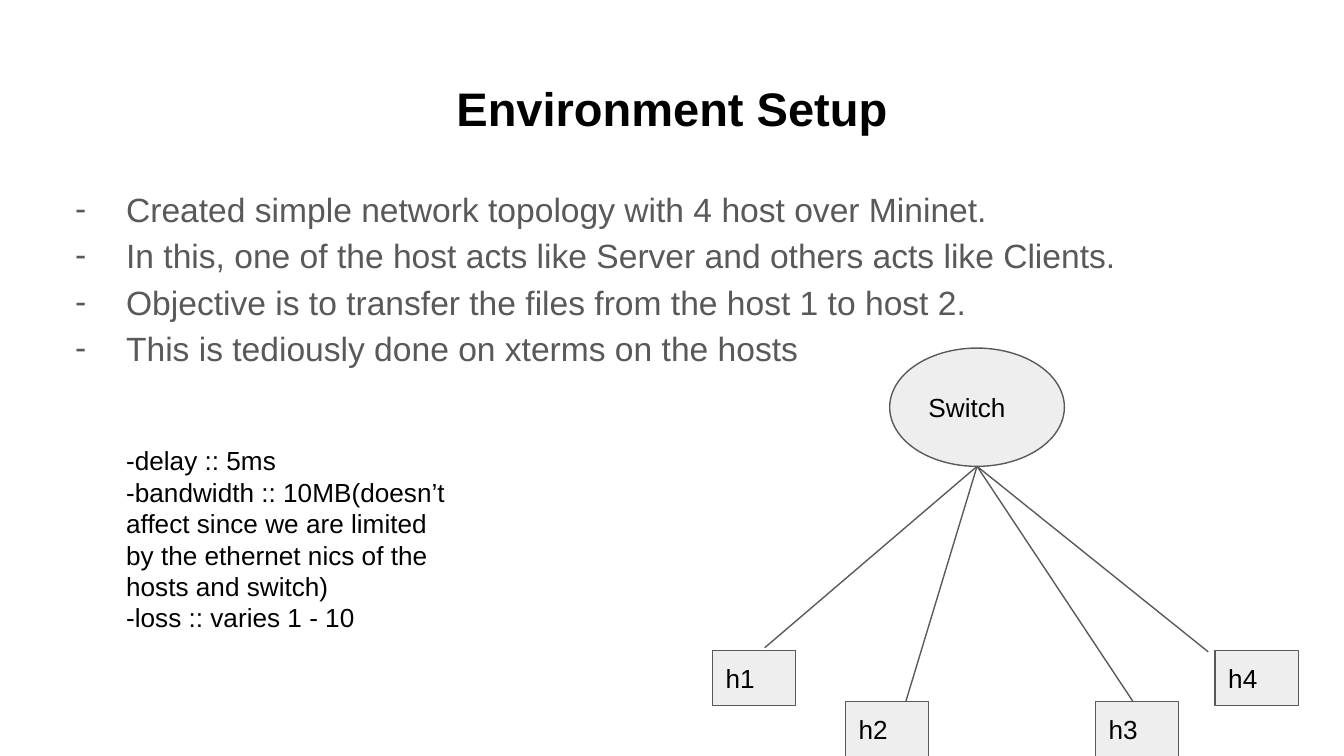
from lxml import etree
from pptx import Presentation
from pptx.dml.color import RGBColor
from pptx.enum.shapes import MSO_CONNECTOR, MSO_SHAPE
from pptx.enum.text import MSO_ANCHOR, PP_ALIGN
from pptx.oxml.ns import qn
from pptx.util import Inches, Pt

STRAIGHT = MSO_CONNECTOR.STRAIGHT
OVAL, RECTANGLE = MSO_SHAPE.OVAL, MSO_SHAPE.RECTANGLE
TOP, MIDDLE = MSO_ANCHOR.TOP, MSO_ANCHOR.MIDDLE
LEFT, CENTER = PP_ALIGN.LEFT, PP_ALIGN.CENTER

FONT = "Arial"
COLORS = {"black": "000000", "gray": "595959", "light": "EEEEEE", "white": "FFFFFF"}


def color(name):
    return RGBColor.from_string(COLORS[name])


def add_dash(paragraph):
    properties = paragraph._p.get_or_add_pPr()
    properties.set("marL", str(Inches(0.5)))
    properties.set("indent", str(Inches(-0.38)))
    bullet_color = etree.SubElement(properties, qn("a:buClr"))
    etree.SubElement(bullet_color, qn("a:srgbClr"), val=COLORS["gray"])
    etree.SubElement(properties, qn("a:buSzPts"), val="1800")
    etree.SubElement(properties, qn("a:buFont"), typeface=FONT)
    etree.SubElement(properties, qn("a:buChar"), char="-")


def write_text(shape, text, size=14, font_color="black", bold=False,
               align=LEFT, anchor=TOP, spacing=1.0, dashes=False):
    frame = shape.text_frame
    frame.word_wrap = True
    frame.vertical_anchor = anchor
    frame.margin_left = frame.margin_right = Inches(0.1)
    frame.margin_top = frame.margin_bottom = Inches(0.1)
    frame.text = text
    for paragraph in frame.paragraphs:
        paragraph.alignment = align
        paragraph.line_spacing = spacing
        if dashes:
            add_dash(paragraph)
        for run in paragraph.runs:
            run.font.name = FONT
            run.font.size = Pt(size)
            run.font.bold = bold
            run.font.color.rgb = color(font_color)


class SlideBuilder:
    """Holds the diagram style and the slide being built."""

    def __init__(self, slide):
        self.slide = slide
        self.line_width = Pt(0.75)
        slide.background.fill.solid()
        slide.background.fill.fore_color.rgb = color("white")

    def text(self, box, text, **style):
        shape = self.slide.shapes.add_textbox(*map(Inches, box))
        write_text(shape, text, **style)

    def node(self, kind, box, label):
        shape = self.slide.shapes.add_shape(kind, *map(Inches, box))
        shape.shadow.inherit = False
        shape.fill.solid()
        shape.fill.fore_color.rgb = color("light")
        self.outline(shape)
        write_text(shape, label, anchor=MIDDLE)

    def link(self, start, end):
        connector = self.slide.shapes.add_connector(
            STRAIGHT, *map(Inches, (*start, *end)))
        self.outline(connector)
        etree.SubElement(connector._element.spPr, qn("a:effectLst"))

    def outline(self, shape):
        shape.line.color.rgb = color("gray")
        shape.line.width = self.line_width


def main():
    presentation = Presentation()
    presentation.slide_width = Inches(10)
    presentation.slide_height = presentation.slide_width * 9 // 16
    builder = SlideBuilder(presentation.slides.add_slide(presentation.slide_layouts[6]))

    builder.text((0.34, 0.49, 9.32, 0.63), "Environment Setup",
                 size=25.2, bold=True, align=CENTER)
    points = (
        "Created simple network topology with 4 host over Mininet.",
        "In this, one of the host acts like Server and others acts like Clients.",
        "Objective is to transfer the files from the host 1 to host 2.",
        "This is tediously done on xterms on the hosts",
    )
    builder.text((0.34, 1.26, 9.32, 4.12), "\n".join(points),
                 size=18, font_color="gray", spacing=1.15, dashes=True)
    settings = (
        "-delay :: 5ms",
        "-bandwidth :: 10MB(doesn’t affect since we are limited "
        "by the ethernet nics of the hosts and switch)",
        "-loss :: varies 1 - 10",
    )
    builder.text((0.84, 3.21, 2.59, 1.62), "\n".join(settings))

    builder.node(OVAL, (6.62, 2.59, 1.3, 0.88), "Switch")
    switch_bottom = (7.27, 3.47)
    hosts = (
        ("h1", (5.3, 4.84), (5.69, 4.82)),
        ("h2", (6.29, 5.22), (6.74, 5.22)),
        ("h3", (8.15, 5.22), (8.43, 5.22)),
        ("h4", (9.04, 4.84), (8.99, 4.85)),
    )
    for name, corner, link_end in hosts:
        builder.link(switch_bottom, link_end)
        builder.node(RECTANGLE, (*corner, 0.62, 0.41), name)

    presentation.save("out.pptx")


if __name__ == "__main__":
    main()
